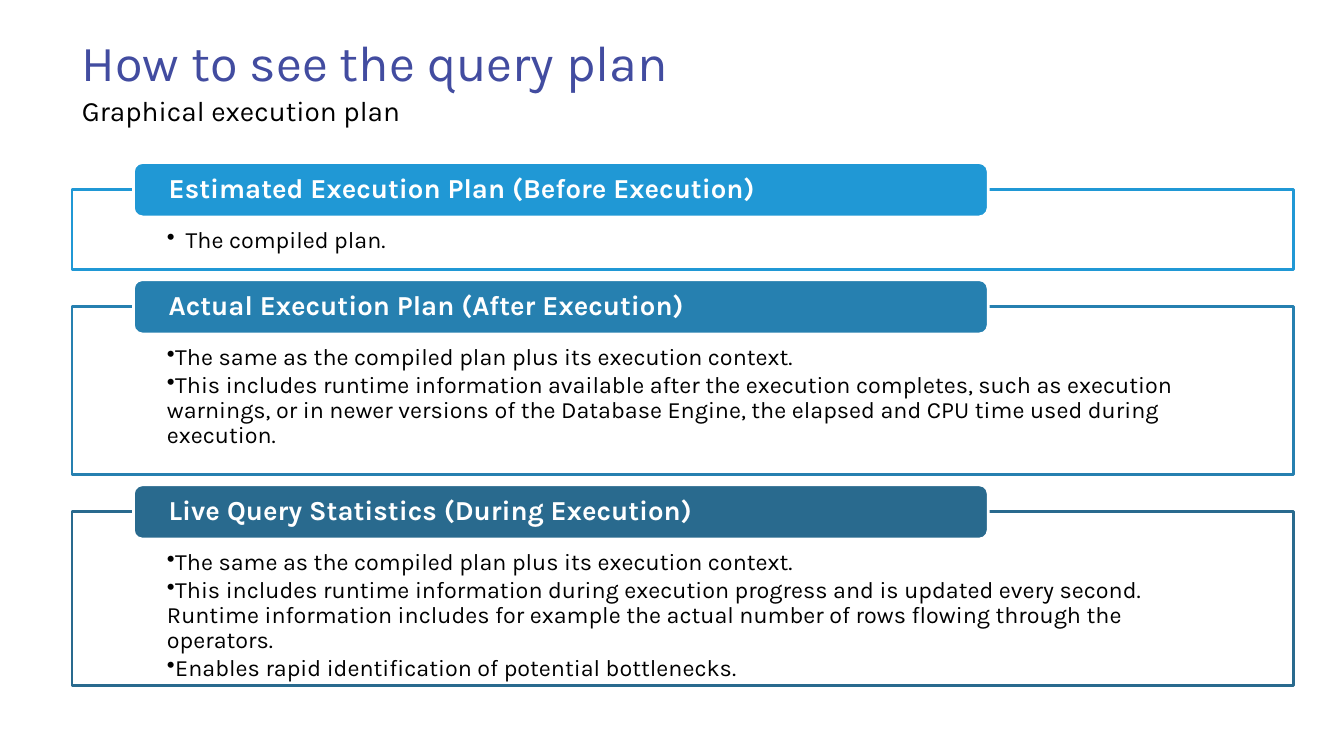
from dataclasses import dataclass
from typing import Optional

from lxml.etree import SubElement
from pptx import Presentation
from pptx.dml.color import RGBColor
from pptx.enum.shapes import MSO_SHAPE as Preset
from pptx.enum.text import MSO_ANCHOR as Anchor, PP_ALIGN as Align
from pptx.oxml.ns import qn
from pptx.util import Emu, Inches, Length, Pt

WIDTH, HEIGHT = Inches(13.6), Inches(7.65)
COLUMNS, ROWS = 136, 76.5
FONT = "Karla"
COLORS = {
    "title": "424CA0",
    "text": "000000",
    "white": "FFFFFF",
    "estimated": "2098D5",
    "actual": "2680B0",
    "live": "296A8E",
}

LEFT = 7.3
TEXT_WIDTH = 121.4
FRAME_WIDTH = 123.6
FIRST_FRAME_TOP = 19.2
FRAME_GAP = 3.75
TAB_INDENT, TAB_RISE = 6.2, 2.75
TAB_WIDTH, TAB_HEIGHT = 86.5, 5.5


@dataclass(frozen=True)
class PlanSection:
    heading: str
    bullets: tuple[str, ...]
    color: str
    rows: float
    hanging: float = 0


SECTIONS = (
    PlanSection(
        "Estimated Execution Plan (Before Execution)",
        ("The compiled plan.",),
        "estimated", 8.1, hanging=1.9,
    ),
    PlanSection(
        "Actual Execution Plan (After Execution)",
        (
            "The same as the compiled plan plus its execution context.",
            "This includes runtime information available after the execution completes, "
            "such as execution warnings, or in newer versions of the Database Engine, "
            "the elapsed and CPU time used during execution.",
        ),
        "actual", 17,
    ),
    PlanSection(
        "Live Query Statistics (During Execution)",
        (
            "The same as the compiled plan plus its execution context.",
            "This includes runtime information during execution progress and is updated "
            "every second. Runtime information includes for example the actual number "
            "of rows flowing through the operators.",
            "Enables rapid identification of potential bottlenecks.",
        ),
        "live", 17.6,
    ),
)


def across(columns: float) -> Length:
    return Emu(round(WIDTH * columns / COLUMNS))


def down(rows: float) -> Length:
    return Emu(round(HEIGHT * rows / ROWS))


def place(left: float, top: float, width: float, height: float) -> tuple[Length, ...]:
    return across(left), down(top), across(width), down(height)


def color(name: str) -> RGBColor:
    return RGBColor.from_string(COLORS[name])


def write(shape, *texts: str, size: float, ink: str = "text", bold: bool = False,
          side: float = 1, top: float = 0, bottom: float = 0, anchor=Anchor.TOP,
          spacing=None, after: float = 0, hanging: Optional[float] = None) -> None:
    frame = shape.text_frame
    frame.word_wrap = True
    frame.vertical_anchor = anchor
    frame.margin_left = frame.margin_right = across(side)
    frame.margin_top, frame.margin_bottom = down(top), down(bottom)
    for index, text in enumerate(texts):
        paragraph = frame.add_paragraph() if index else frame.paragraphs[0]
        paragraph.alignment = Align.LEFT
        paragraph.line_spacing = spacing
        paragraph.space_after = Pt(after)
        if hanging is not None:
            properties = paragraph._p.get_or_add_pPr()
            properties.set("marL", str(across(hanging)))
            properties.set("indent", str(-across(hanging)))
            SubElement(properties, qn("a:buChar")).set("char", "•")
        run = paragraph.add_run()
        run.text = text
        run.font.name = FONT
        run.font.size = Pt(size)
        run.font.bold = bold
        run.font.color.rgb = color(ink)


def add_box(slide, preset, bounds: tuple[Length, ...], fill: str, line: str):
    shape = slide.shapes.add_shape(preset, *bounds)
    shape.shadow.inherit = False
    shape.fill.solid()
    shape.fill.fore_color.rgb = color(fill)
    shape.line.color.rgb = color(line)
    shape.line.width = Pt(2)
    return shape


def draw_section(slide, section: PlanSection, top: float) -> None:
    frame = add_box(slide, Preset.RECTANGLE,
                    place(LEFT, top, FRAME_WIDTH, section.rows), "white", section.color)
    fill_color = frame._element.spPr.find(qn("a:solidFill"))[0]
    SubElement(fill_color, qn("a:alpha")).set("val", "90000")
    write(frame, *section.bullets, size=17, side=9.6, top=3.9, bottom=1.3,
          spacing=0.9, after=2, hanging=section.hanging)

    tab = add_box(slide, Preset.ROUNDED_RECTANGLE,
                  place(LEFT + TAB_INDENT, top - TAB_RISE, TAB_WIDTH, TAB_HEIGHT),
                  section.color, "white")
    write(tab, section.heading, size=20, ink="white", bold=True, side=3.3,
          anchor=Anchor.MIDDLE, spacing=0.9)


def main() -> None:
    presentation = Presentation()
    presentation.slide_width, presentation.slide_height = WIDTH, HEIGHT
    slide = presentation.slides.add_slide(presentation.slide_layouts[6])

    title = slide.shapes.add_textbox(*place(LEFT, 3.6, TEXT_WIDTH, 5.1))
    write(title, "How to see the query plan", size=36.7, ink="title",
          top=0.7, spacing=Pt(35.7))
    subtitle = slide.shapes.add_textbox(*place(LEFT, 8.8, TEXT_WIDTH, 5.1))
    write(subtitle, "Graphical execution plan", size=20.4, top=0.7)

    top = FIRST_FRAME_TOP
    for section in SECTIONS:
        draw_section(slide, section, top)
        top += section.rows + FRAME_GAP

    presentation.save("out.pptx")


if __name__ == "__main__":
    main()
